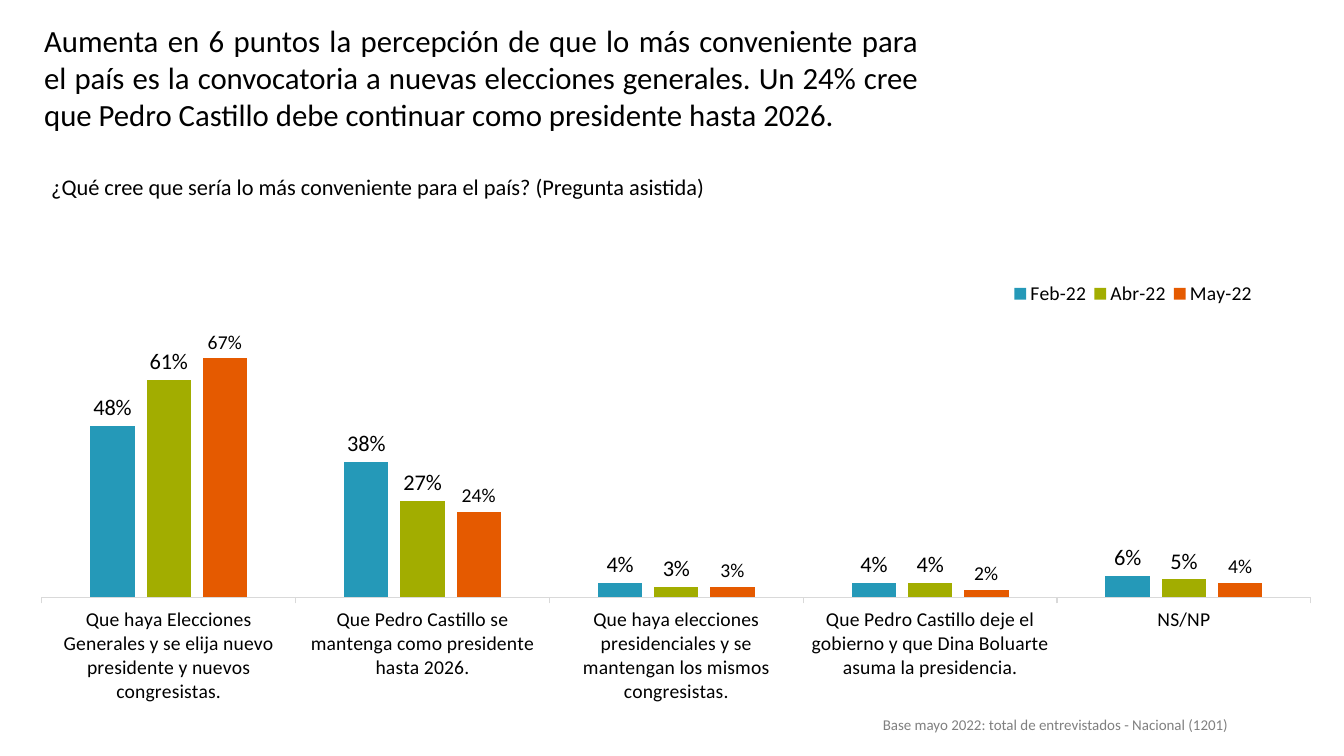
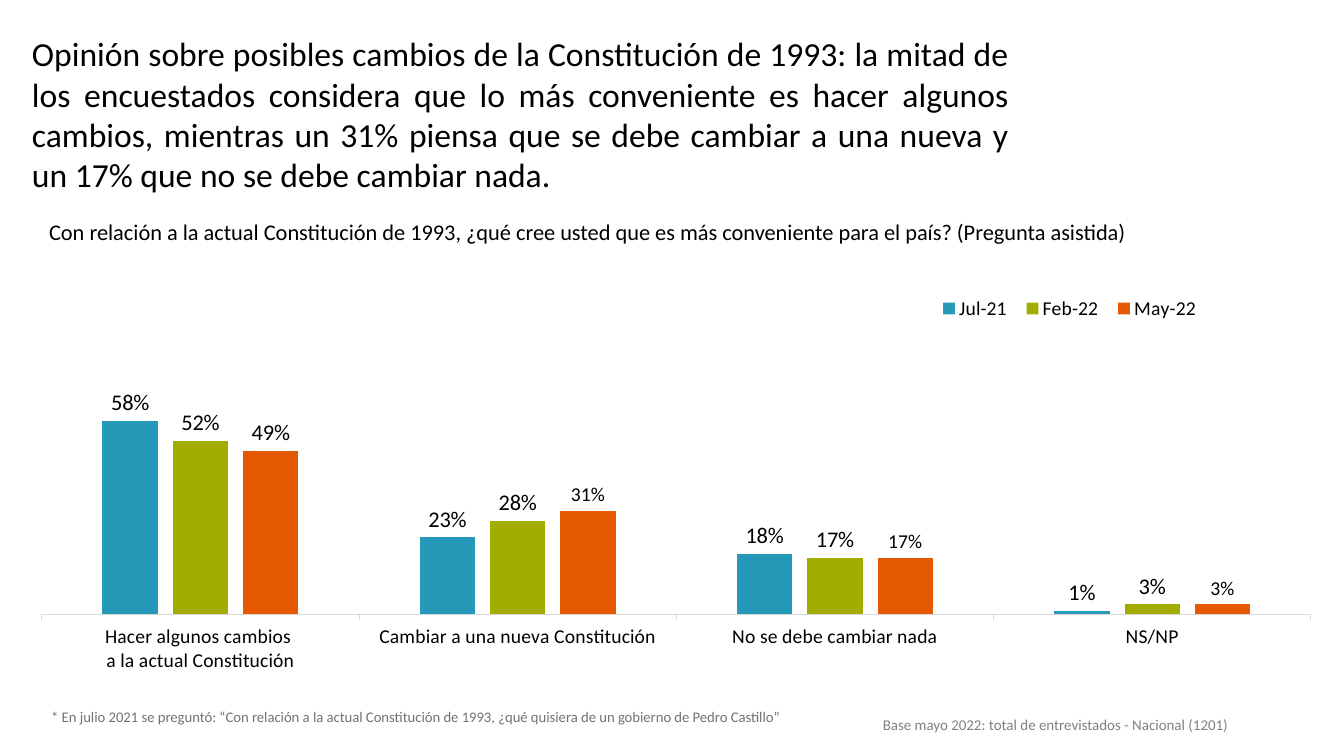
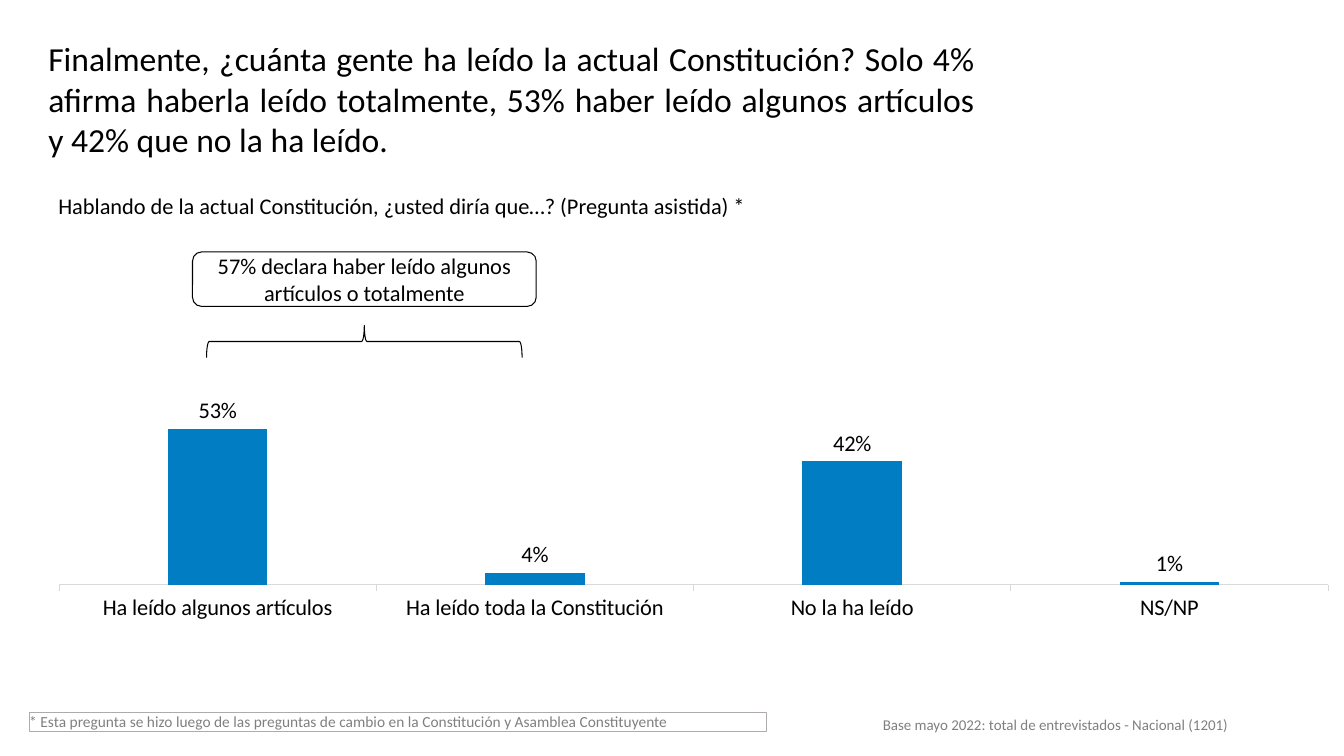
from lxml.etree import SubElement, fromstring
from pptx import Presentation
from pptx.chart.data import CategoryChartData
from pptx.dml.color import RGBColor
from pptx.enum.chart import XL_CHART_TYPE, XL_LABEL_POSITION, XL_LEGEND_POSITION, XL_TICK_MARK
from pptx.enum.shapes import MSO_SHAPE
from pptx.enum.text import MSO_ANCHOR, PP_ALIGN
from pptx.oxml.ns import qn
from pptx.util import Pt

# Shared look
FONT = "Calibri"
BLACK = RGBColor(0x00, 0x00, 0x00)
WHITE = RGBColor(0xFF, 0xFF, 0xFF)
GREY = RGBColor(0x80, 0x80, 0x80)
NOTE_GREY = RGBColor(0x76, 0x71, 0x71)
BORDER_GREY = RGBColor(0xAF, 0xAB, 0xAB)
AXIS_GREY = RGBColor(0xD9, 0xD9, 0xD9)
TEAL = RGBColor(0x25, 0x99, 0xB8)
GREEN = RGBColor(0xA2, 0xAD, 0x00)
ORANGE = RGBColor(0xE5, 0x5A, 0x00)
BLUE = RGBColor(0x00, 0x7D, 0xC3)
WAVE_COLORS = (TEAL, GREEN, ORANGE)
WAVE_LABEL_SIZES = (16, 16, 14)

BASE_BOX = (623.5, 509, 302.4, 18.7)
BASE_TEXT = "Base mayo 2022: total de entrevistados - Nacional (1201)"


def set_attributes(target, values):
    for name, value in values.items():
        setattr(target, name, value)


def set_font(font, size, color=BLACK):
    set_attributes(font, {"name": FONT, "size": Pt(size)})
    font.color.rgb = color


def write_text(shape, text, size, color=BLACK, **paragraph_format):
    shape.text_frame.word_wrap = True
    paragraph = shape.text_frame.paragraphs[0]
    set_attributes(paragraph, paragraph_format)
    run = paragraph.add_run()
    run.text = text
    set_font(run.font, size, color)


def add_text(slide, box, text, size, color=BLACK, **paragraph_format):
    shape = slide.shapes.add_textbox(*map(Pt, box))
    write_text(shape, text, size, color, **paragraph_format)


def add_outline(slide, kind, box, line_color=BLACK, fill=None):
    shape = slide.shapes.add_shape(kind, *map(Pt, box))
    shape.shadow.inherit = False
    if fill is None:
        shape.fill.background()
    else:
        shape.fill.solid()
        shape.fill.fore_color.rgb = fill
    shape.line.color.rgb = line_color
    shape.line.width = Pt(0.75)
    return shape


def place_inside_chart(element, index, box, inner=False):
    """Give a plot area or legend a manual place, in fractions of the chart."""
    for old_layout in element.findall(qn("c:layout")):
        element.remove(old_layout)
    layout = fromstring(f'<c:layout xmlns:c="{element.nsmap["c"]}"/>')
    manual = SubElement(layout, qn("c:manualLayout"))
    settings = [("layoutTarget", "inner")] if inner else []
    settings += [("xMode", "edge"), ("yMode", "edge"), *zip("xywh", box)]
    for name, value in settings:
        SubElement(manual, qn(f"c:{name}")).set("val", str(value))
    element.insert(index, layout)


def add_column_chart(slide, box, categories, series, plot_box, legend_box=None,
                     colors=WAVE_COLORS, label_sizes=WAVE_LABEL_SIZES, category_size=14):
    data = CategoryChartData(number_format="0%")
    data.categories = categories
    for name, percents in series.items():
        data.add_series(name, [percent / 100 for percent in percents])
    chart = slide.shapes.add_chart(
        XL_CHART_TYPE.COLUMN_CLUSTERED, *map(Pt, box), data).chart
    set_attributes(chart, {"has_title": False, "has_legend": legend_box is not None})
    set_font(chart.font, 14)

    # Axes
    set_attributes(chart.value_axis, {
        "visible": False, "has_major_gridlines": False,
        "minimum_scale": 0, "maximum_scale": 1})
    axis = chart.category_axis
    set_attributes(axis, {"has_major_gridlines": False,
                          "major_tick_mark": XL_TICK_MARK.OUTSIDE})
    set_font(axis.tick_labels.font, category_size)
    axis.format.line.color.rgb = AXIS_GREY
    axis.format.line.width = Pt(0.75)

    # Columns and their labels
    plot = chart.plots[0]
    set_attributes(plot, {"gap_width": 219, "overlap": -27, "vary_by_categories": False})
    for column, color, size in zip(plot.series, colors, label_sizes):
        column.format.fill.solid()
        column.format.fill.fore_color.rgb = color
        labels = column.data_labels
        set_attributes(labels, {
            "show_value": True, "position": XL_LABEL_POSITION.OUTSIDE_END,
            "number_format": "0%", "number_format_is_linked": False})
        set_font(labels.font, size)

    # Plot area and legend
    plot_area = chart._chartSpace.chart.plotArea
    place_inside_chart(plot_area, 0, plot_box, inner=True)
    if legend_box:
        legend = chart.legend
        set_attributes(legend, {"position": XL_LEGEND_POSITION.TOP,
                                "include_in_layout": False})
        set_font(legend.font, 14)
        place_inside_chart(legend._element, 1, legend_box)
    return chart


def add_survey_slide(presentation, title, title_box, title_size, question, question_box):
    slide = presentation.slides.add_slide(presentation.slide_layouts[6])
    add_text(slide, BASE_BOX, BASE_TEXT, 10.7, GREY,
             alignment=PP_ALIGN.JUSTIFY, line_spacing=0.9)
    add_text(slide, title_box, title, title_size, alignment=PP_ALIGN.JUSTIFY)
    add_text(slide, question_box, question, 16)
    return slide


def add_reading_callout(slide, box, text):
    """A rounded box with a brace below it, centred on the box."""
    left, top, width, height = box
    callout = add_outline(slide, MSO_SHAPE.ROUNDED_RECTANGLE, box, fill=WHITE)
    callout.text_frame.vertical_anchor = MSO_ANCHOR.MIDDLE
    write_text(callout, text, 16, alignment=PP_ALIGN.CENTER, space_before=Pt(3))

    depth, span, gap = 23, 225.4, 13.5
    brace_left = left + (width - depth) / 2
    brace_top = top + height + gap + (depth - span) / 2
    brace = add_outline(slide, MSO_SHAPE.RIGHT_BRACE, (brace_left, brace_top, depth, span))
    brace.rotation = 270


def add_framed_note(slide, box, text):
    note = add_outline(slide, MSO_SHAPE.RECTANGLE, box, BORDER_GREY)
    set_attributes(note.text_frame, {
        "margin_left": 0, "margin_right": 0, "margin_top": 0, "margin_bottom": 0,
        "vertical_anchor": MSO_ANCHOR.TOP})
    write_text(note, text, 11, GREY, alignment=PP_ALIGN.LEFT, space_before=Pt(3))


def build_country_slide(presentation):
    slide = add_survey_slide(
        presentation,
        "Aumenta en 6 puntos la percepción de que lo más conveniente para el país es la "
        "convocatoria a nuevas elecciones generales. Un 24% cree que Pedro Castillo debe "
        "continuar como presidente hasta 2026.",
        (24.5, 12.2, 638.6, 87), 22,
        "¿Qué cree que sería lo más conveniente para el país? (Pregunta asistida)",
        (29.5, 120.2, 566, 26.6))
    add_column_chart(
        slide, (29.5, 172, 907.2, 344.2),
        ["Que haya Elecciones Generales y se elija nuevo presidente y nuevos congresistas.",
         "Que Pedro Castillo se mantenga como presidente hasta 2026.",
         "Que haya elecciones presidenciales y se mantengan los mismos congresistas.",
         "Que Pedro Castillo deje el gobierno y que Dina Boluarte asuma la presidencia.",
         "NS/NP"],
        {"Feb-22": (48, 38, 4, 4, 6),
         "Abr-22": (61, 27, 3, 4, 5),
         "May-22": (67, 24, 3, 2, 4)},
        plot_box=(0, 0, 1, 0.74), legend_box=(0.76, 0.07, 0.2, 0.08))


def build_constitution_slide(presentation):
    slide = add_survey_slide(
        presentation,
        "Opinión sobre posibles cambios de la Constitución de 1993: la mitad de los "
        "encuestados considera que lo más conveniente es hacer algunos cambios, mientras un "
        "31% piensa que se debe cambiar a una nueva y un 17% que no se debe cambiar nada.",
        (15.8, 20.2, 712, 117.4), 24,
        "Con relación a la actual Constitución de 1993, ¿qué cree usted que es más "
        "conveniente para el país? (Pregunta asistida)",
        (28, 152, 811.4, 26.6))
    chart = add_column_chart(
        slide, (29.5, 200.2, 907.2, 336.2),
        ["Hacer algunos cambios \na la actual Constitución",
         "Cambiar a una nueva Constitución", "No se debe cambiar nada", "NS/NP"],
        {"Jul-21": (58, 23, 18, 1),
         "Feb-22": (52, 28, 17, 3),
         "May-22": (49, 31, 17, 3)},
        plot_box=(0, 0, 1, 0.71), legend_box=(0.7, 0.02, 0.22, 0.08))
    # The leading answer of the last wave has a larger label
    leading_label = chart.plots[0].series[2].points[0].data_label
    set_font(leading_label.font, 16)
    leading_label.position = XL_LABEL_POSITION.OUTSIDE_END
    add_text(slide, (29.5, 501.8, 548, 20.2),
             "* En julio 2021 se preguntó: “Con relación a la actual Constitución de 1993, "
             "¿qué quisiera de un gobierno de Pedro Castillo”", 10.5, NOTE_GREY)


def build_reading_slide(presentation):
    slide = add_survey_slide(
        presentation,
        "Finalmente, ¿cuánta gente ha leído la actual Constitución? Solo 4% afirma haberla "
        "leído totalmente, 53% haber leído algunos artículos y 42% que no la ha leído.",
        (27.4, 23.8, 676, 90), 24,
        "Hablando de la actual Constitución, ¿usted diría que…? (Pregunta asistida) *",
        (34.6, 134, 873.4, 26.6))
    add_column_chart(
        slide, (41.8, 193.7, 907.2, 355.7),
        ["Ha leído algunos artículos", "Ha leído toda la Constitución",
         "No la ha leído", "NS/NP"],
        {"Series 1": (53, 4, 42, 1)},
        plot_box=(0, 0.04, 1, 0.59), colors=(BLUE,), label_sizes=(16,), category_size=16)
    add_reading_callout(slide, (137.5, 180, 245.5, 38.9),
                        "57% declara haber leído algunos artículos o totalmente")
    add_framed_note(slide, (20.9, 509, 526.3, 13.7),
                    "* Esta pregunta se hizo luego de las preguntas de cambio en la "
                    "Constitución y Asamblea Constituyente")


def main():
    presentation = Presentation()
    set_attributes(presentation, {"slide_width": Pt(960), "slide_height": Pt(540)})
    build_country_slide(presentation)
    build_constitution_slide(presentation)
    build_reading_slide(presentation)
    presentation.save("out.pptx")


if __name__ == "__main__":
    main()
